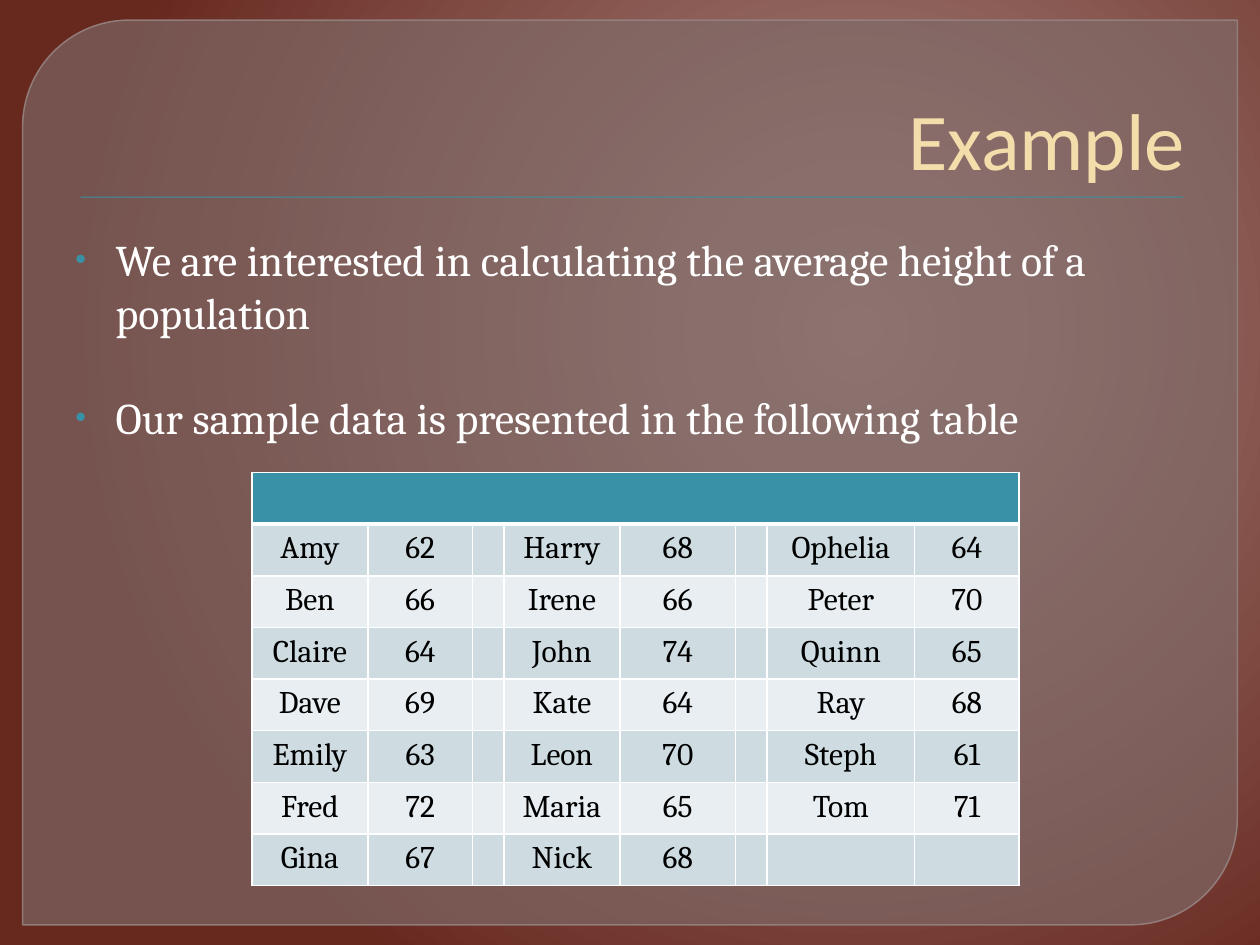
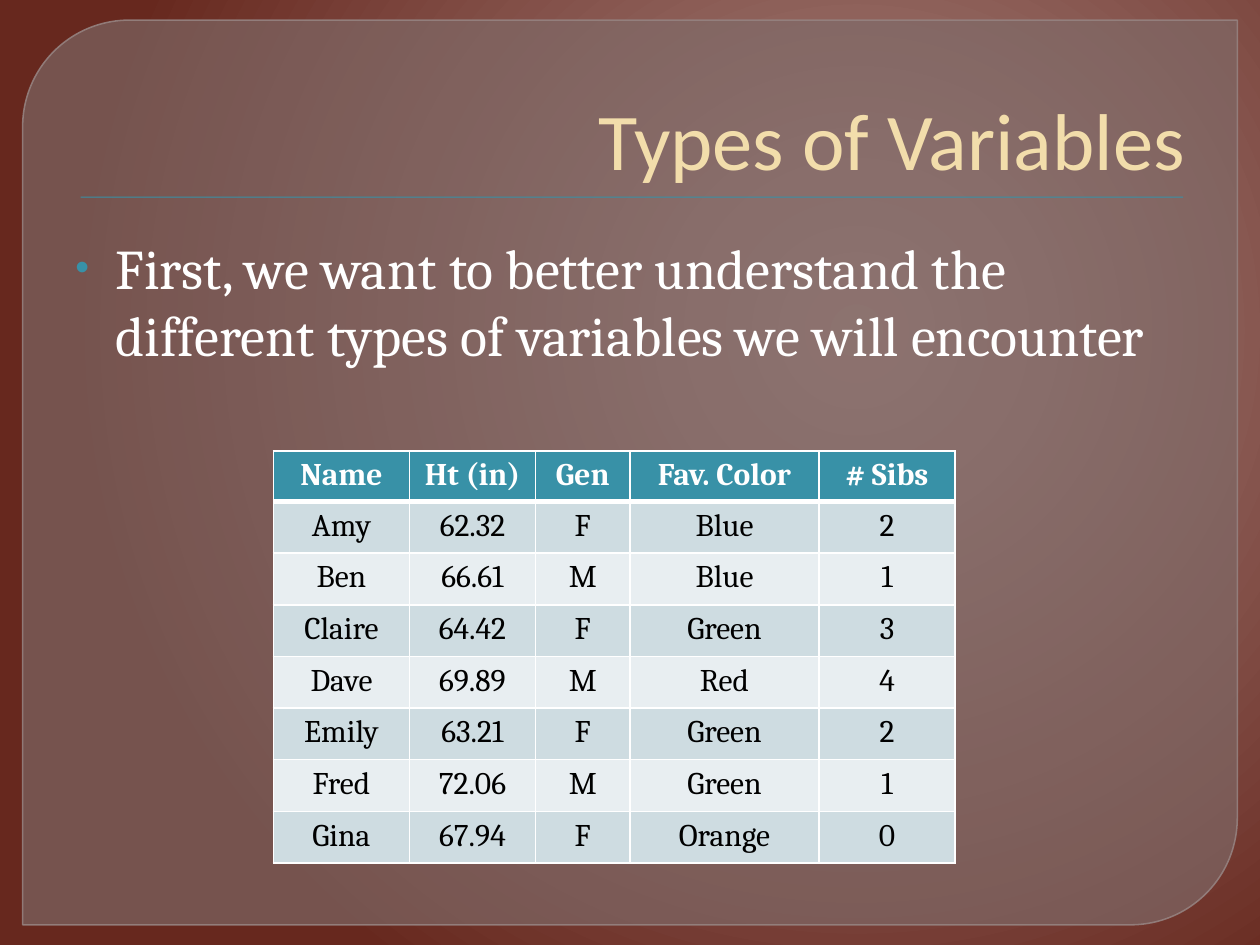
from itertools import zip_longest

from lxml import etree
from pptx import Presentation
from pptx import util as u
from pptx.dml.color import RGBColor
from pptx.enum import shapes, text
from pptx.oxml import parse_xml
from pptx.oxml.ns import nsdecls, qn

COLORS = {
    "glow": "A7827D", "mid": "9C7570", "edge": "67281E",
    "panel": "7F6B69", "outline": "968381", "accent": "3891A7",
    "title": "F2DDAB", "white": "FFFFFF", "black": "000000",
    "odd_row": "CEDCE1", "even_row": "E8EEF1",
}
HEADING_FONT, BODY_FONT = "Calibri", "Cambria"
TITLE_BOX = (0.5, 0.28, 9, 1.25)
BODY_BOX = (0.5, 1.8, 9, 4.95)
ROW_HEIGHT = 0.41

HEIGHT_GROUPS = [
    [("Amy", 62), ("Ben", 66), ("Claire", 64), ("Dave", 69),
     ("Emily", 63), ("Fred", 72), ("Gina", 67)],
    [("Harry", 68), ("Irene", 66), ("John", 74), ("Kate", 64),
     ("Leon", 70), ("Maria", 65), ("Nick", 68)],
    [("Ophelia", 64), ("Peter", 70), ("Quinn", 65), ("Ray", 68),
     ("Steph", 61), ("Tom", 71)],
]
VARIABLE_ROWS = [
    ("Name", "Ht (in)", "Gen", "Fav. Color", "# Sibs"),
    ("Amy", "62.32", "F", "Blue", "2"),
    ("Ben", "66.61", "M", "Blue", "1"),
    ("Claire", "64.42", "F", "Green", "3"),
    ("Dave", "69.89", "M", "Red", "4"),
    ("Emily", "63.21", "F", "Green", "2"),
    ("Fred", "72.06", "M", "Green", "1"),
    ("Gina", "67.94", "F", "Orange", "0"),
]


def rgb(name):
    """Return the named palette colour."""
    return RGBColor.from_string(COLORS[name])


def inches(box):
    """Convert a box of numbers to lengths."""
    return [u.Inches(value) for value in box]


def style_font(font, face, size, color, bold=False):
    """Set face, size, colour and weight of a font."""
    font.name, font.size, font.bold = face, u.Pt(size), bold
    font.color.rgb = rgb(color)


def set_background(slide):
    """Fill the slide with a radial gradient."""
    stops = "".join(
        f'<a:gs pos="{position}000"><a:srgbClr val="{COLORS[name]}"/></a:gs>'
        for position, name in ((0, "glow"), (20, "mid"), (100, "edge")))
    slide.element.cSld.insert(0, parse_xml(
        f'<p:bg {nsdecls("p", "a")}><p:bgPr><a:gradFill rotWithShape="1">'
        f'<a:gsLst>{stops}</a:gsLst><a:path path="circle">'
        '<a:fillToRect l="68000" t="35000" r="32000" b="65000"/></a:path>'
        '</a:gradFill><a:effectLst/></p:bgPr></p:bg>'))


def add_filled_shape(slide, kind, box, color):
    """Add a shape with a solid fill and no shadow."""
    shape = slide.shapes.add_shape(kind, *inches(box))
    shape.shadow.inherit = False
    shape.fill.solid()
    shape.fill.fore_color.rgb = rgb(color)
    return shape


def add_panel(slide, box):
    """Add the translucent panel with two rounded corners."""
    panel = add_filled_shape(
        slide, shapes.MSO_SHAPE.ROUND_2_DIAG_RECTANGLE, box, "panel")
    panel.adjustments[0], panel.adjustments[1] = 0.118, 0
    panel.line.color.rgb = rgb("outline")
    panel.line.width = u.Pt(0.87)
    for color, percent in zip(panel.element.spPr.iter(qn("a:srgbClr")), (65, 88)):
        etree.SubElement(color, qn("a:alpha"), val=f"{percent}000")


def add_title_rule(slide, box):
    """Add the thin shadowed rule under the title."""
    rule = add_filled_shape(slide, shapes.MSO_SHAPE.RECTANGLE, box, "accent")
    rule.line.fill.background()
    rule.element.spPr.find(qn("a:effectLst")).append(parse_xml(
        f'<a:outerShdw {nsdecls("a")} blurRad="12700" dist="12700" dir="5400000">'
        f'<a:srgbClr val="{COLORS["black"]}"><a:alpha val="75000"/></a:srgbClr>'
        '</a:outerShdw>'))


def add_title(slide, box, title):
    """Add the right-aligned title at the bottom of its box."""
    frame = slide.shapes.add_textbox(*inches(box)).text_frame
    frame.word_wrap = True
    frame.vertical_anchor = text.MSO_ANCHOR.BOTTOM
    frame.text = title
    paragraph = frame.paragraphs[0]
    paragraph.alignment = text.PP_ALIGN.RIGHT
    style_font(paragraph.runs[0].font, HEADING_FONT, 46, "title")


def add_bullets(slide, box, items, size):
    """Add bulleted paragraphs one blank line's height apart."""
    frame = slide.shapes.add_textbox(*inches(box)).text_frame
    frame.word_wrap = True
    frame.text = "\n".join(items)
    for index, paragraph in enumerate(frame.paragraphs):
        properties = paragraph._p.get_or_add_pPr()
        properties.set("marL", str(u.Inches(0.32)))
        properties.set("indent", str(u.Inches(-0.32)))
        bullet_color = etree.SubElement(properties, qn("a:buClr"))
        etree.SubElement(bullet_color, qn("a:srgbClr"), val=COLORS["accent"])
        etree.SubElement(properties, qn("a:buSzPct"), val="70000")
        etree.SubElement(properties, qn("a:buFont"), typeface="Arial")
        etree.SubElement(properties, qn("a:buChar"), char="•")
        if index:
            paragraph.space_before = u.Pt(size * 1.2)
        style_font(paragraph.runs[0].font, BODY_FONT, size, "white")


def set_borders(cell, top, bottom):
    """Draw white cell borders with the given top and bottom widths."""
    properties = cell._tc.get_or_add_tcPr()
    for side, width in (("L", 1), ("R", 1), ("T", top), ("B", bottom)):
        line = etree.SubElement(properties, qn(f"a:ln{side}"), w=str(u.Pt(width)))
        fill = etree.SubElement(line, qn("a:solidFill"))
        etree.SubElement(fill, qn("a:srgbClr"), val=COLORS["white"])


def add_data_table(slide, left, top, widths, rows, header_height=ROW_HEIGHT):
    """Add a centred table with a header row and banded body rows."""
    heights = [header_height] + [ROW_HEIGHT] * (len(rows) - 1)
    table = slide.shapes.add_table(
        len(rows), len(widths),
        *inches((left, top, sum(widths), sum(heights)))).table
    for column, width in zip(table.columns, widths):
        column.width = u.Inches(width)
    for index, (row, height, values) in enumerate(zip(table.rows, heights, rows)):
        row.height = u.Inches(height)
        header = index == 0
        band = "accent" if header else "odd_row" if index % 2 else "even_row"
        for cell, value in zip(row.cells, values):
            set_borders(cell, 3 if index == 1 else 1, 3 if header else 1)
            cell.fill.solid()
            cell.fill.fore_color.rgb = rgb(band)
            cell.text = value
            paragraph = cell.text_frame.paragraphs[0]
            paragraph.alignment = text.PP_ALIGN.CENTER
            for run in paragraph.runs:
                style_font(run.font, BODY_FONT, 18,
                           "white" if header else "black", header)
    return table


def height_rows():
    """Lay the height groups side by side under an empty header."""
    rows = [[""] * 8]
    for people in zip_longest(*HEIGHT_GROUPS, fillvalue=("", "")):
        row = []
        for name, height in people:
            row += [name, str(height), ""]
        rows.append(row[:-1])
    return rows


def add_themed_slide(presentation, title):
    """Add a slide with the shared background, panel, rule and title."""
    slide = presentation.slides.add_slide(presentation.slide_layouts[6])
    set_background(slide)
    add_panel(slide, (0.18, 0.16, 9.64, 7.18))
    add_title_rule(slide, (0.64, 1.56, 8.75, 0.01))
    add_title(slide, TITLE_BOX, title)
    return slide


def build_example(presentation):
    """Build the slide with the sample of heights."""
    slide = add_themed_slide(presentation, "Example")
    add_bullets(slide, BODY_BOX, [
        "We are interested in calculating the average height of a population",
        "Our sample data is presented in the following table"], 25)
    table = add_data_table(
        slide, 2, 3.75, (0.92, 0.83, 0.25, 0.92, 0.92, 0.25, 1.17, 0.83),
        height_rows())
    table.cell(0, 0).merge(table.cell(0, 7))


def build_variable_types(presentation):
    """Build the slide with the kinds of variables."""
    slide = add_themed_slide(presentation, "Types of Variables")
    add_bullets(slide, BODY_BOX, [
        "First, we want to better understand the different types of "
        "variables we will encounter"], 32)
    add_data_table(slide, 2.17, 3.58, (1.08, 1, 0.75, 1.5, 1.08),
                   VARIABLE_ROWS, header_height=0.32)


def main():
    """Build and save the presentation."""
    presentation = Presentation()
    presentation.slide_width = u.Inches(10)
    presentation.slide_height = u.Inches(7.5)
    build_example(presentation)
    build_variable_types(presentation)
    presentation.save("out.pptx")


if __name__ == "__main__":
    main()
